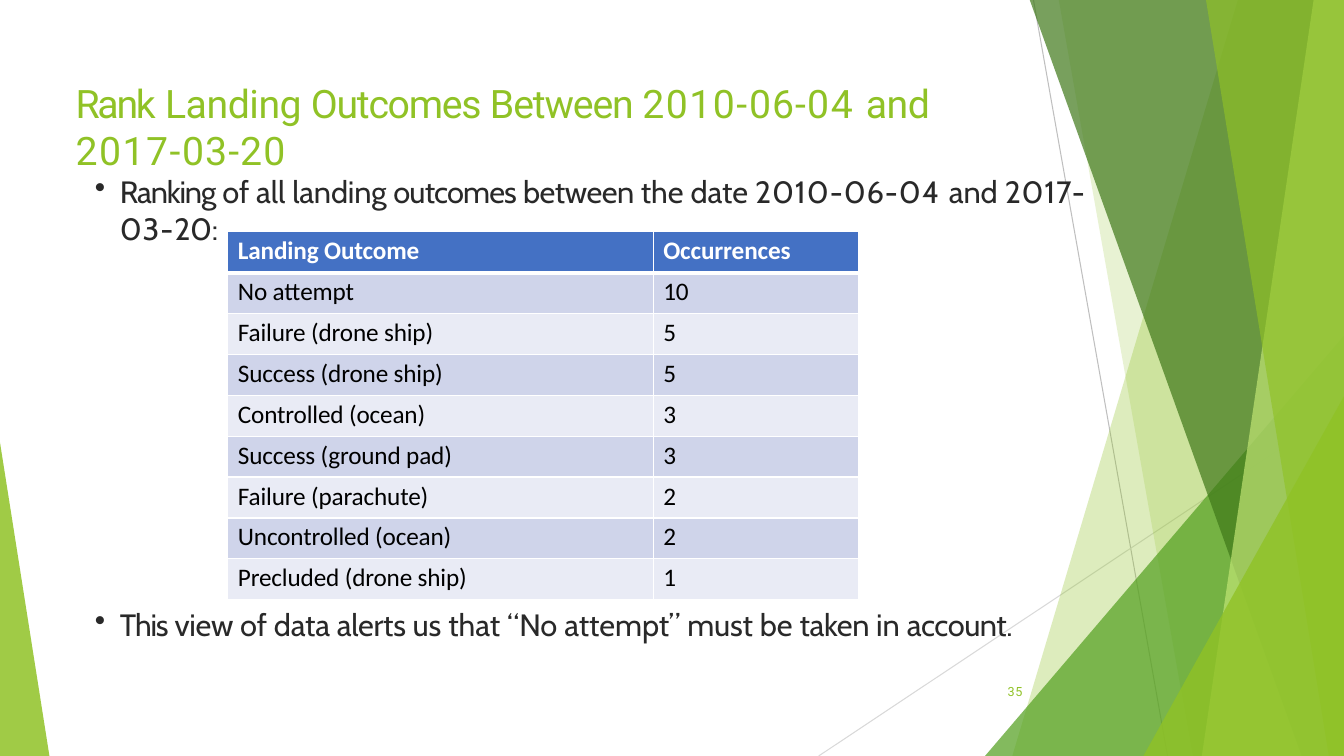
from lxml.etree import SubElement
from pptx import Presentation
from pptx.dml.color import RGBColor
from pptx.enum.shapes import MSO_CONNECTOR, MSO_SHAPE
from pptx.enum.text import MSO_ANCHOR, PP_ALIGN
from pptx.oxml.ns import qn
from pptx.util import Inches, Pt

COLORS = {
    "lime": "90C226", "green": "54A021", "forest": "3F7819", "pale_lime": "C0E474",
    "grey": "BFBFBF", "light_grey": "D9D9D9", "ink": "292929", "black": "000000",
    "white": "FFFFFF", "header": "4471C4", "band_dark": "CFD4EA", "band_light": "E9EBF5",
}
TITLE_FONT = {"size": Pt(28), "name": "Roboto", "color": "lime"}
BODY_FONT = {"size": Pt(22), "name": "Cabin", "color": "ink"}
NUMBER_FONT = {"size": Pt(9), "name": "Roboto", "color": "lime"}
CELL_FONT = {"size": Pt(18), "name": "Calibri", "color": "black", "bold": False}
HEADER_FONT = CELL_FONT | {"color": "white", "bold": True}

TITLE_RUNS = [("Rank", -1.6), (" Landing ", -0.3), ("Outcomes ", -0.9), ("Between ", -0.8),
              ("2010-", 1.1), ("06-", 0.8), ("04 ", 1.2), ("and ", -0.3),
              ("2017-", 1.1), ("03-20", 0.8)]
RANKING_RUNS = [("Ranking ", -0.8), ("of all ", 0), ("landing ", -0.1), ("outcomes ", -0.6),
                ("between ", -0.3), ("the date ", 0), ("2010-", 0.7), ("06-", 0.6),
                ("04 ", 0.9), ("and ", 0), ("2017-", 0.6)]
RANKING_END_RUNS = [("03-", 0.6), ("20:", -0.2)]
ALERT_RUNS = [("This ", -0.8), ("view ", -0.2), ("of ", 0), ("data ", -0.1), ("alerts ", -0.2),
              ("us that “No attempt” ", 0), ("must ", -0.1), ("be ", 0), ("taken ", -0.2),
              ("in ", 0), ("account.", -0.3)]
OUTCOMES = [
    ("Landing Outcome", "Occurrences"),
    ("No attempt", "10"),
    ("Failure (drone ship)", "5"),
    ("Success (drone ship)", "5"),
    ("Controlled (ocean)", "3"),
    ("Success (ground pad)", "3"),
    ("Failure (parachute)", "2"),
    ("Uncontrolled (ocean)", "2"),
    ("Precluded (drone ship)", "1"),
]


def rgb(name):
    """Return the named colour."""
    return RGBColor.from_string(COLORS[name])


def set_attributes(target, values):
    """Set every attribute in values on the target."""
    for name, value in values.items():
        setattr(target, name, value)


def paint(shape, color, opacity):
    """Give a shape a see-through fill and no outline."""
    shape.shadow.inherit = False
    shape.fill.solid()
    shape.fill.fore_color.rgb = rgb(color)
    shape.line.fill.background()
    color_element = shape.fill._xPr.find(qn("a:solidFill"))[0]
    SubElement(color_element, qn("a:alpha"), val=str(opacity * 1000))


def add_line(slide, start, end, color):
    """Draw a thin background line."""
    points = [Inches(value) for value in (*start, *end)]
    line = slide.shapes.add_connector(MSO_CONNECTOR.STRAIGHT, *points)
    line.line.color.rgb = rgb(color)
    line.line.width = Pt(0.75)
    SubElement(line._element.spPr, qn("a:effectLst"))


def add_band(slide, top_left, top_right, bottom_left, color, opacity):
    """Draw a slanted band that runs to the right edge of the slide."""
    corners = [(top_left, -0.01), (top_right, -0.01), (13.33, 7.5), (bottom_left, 7.5)]
    points = [(Inches(x), Inches(y)) for x, y in corners]
    builder = slide.shapes.build_freeform(*points[0])
    builder.add_line_segments(points[1:])
    paint(builder.convert_to_shape(), color, opacity)


def add_triangle(slide, box, apex, color, opacity):
    """Draw a triangle whose apex sits at a fraction of its width."""
    sides = [Inches(value) for value in box]
    triangle = slide.shapes.add_shape(MSO_SHAPE.ISOSCELES_TRIANGLE, *sides)
    triangle.adjustments[0] = apex
    paint(triangle, color, opacity)


def write_runs(paragraph, runs, style):
    """Add runs of text with their letter spacing in points."""
    for text, spacing in runs:
        run = paragraph.add_run()
        run.text = text
        run._r.get_or_add_rPr().set("spc", str(round(spacing * 100)))
        set_attributes(run.font, {key: style[key] for key in style if key != "color"})
        run.font.color.rgb = rgb(style["color"])


def indent(paragraph, left, first=0.0, bullet=None):
    """Indent a paragraph and give it a bullet if there is one."""
    properties = paragraph._p.get_or_add_pPr()
    properties.set("marL", str(Inches(left)))
    properties.set("indent", str(Inches(first)))
    if bullet:
        SubElement(properties, qn("a:buChar"), char=bullet)


def add_text(slide, box, top_inset, anchor=MSO_ANCHOR.TOP):
    """Add a wrapping text box and return its text frame."""
    frame = slide.shapes.add_textbox(*[Inches(value) for value in box]).text_frame
    set_attributes(frame, {
        "word_wrap": True, "vertical_anchor": anchor, "margin_left": 0, "margin_right": 0,
        "margin_top": Inches(top_inset), "margin_bottom": 0,
    })
    return frame


def add_bullet(slide, box, runs):
    """Add a text box with one bulleted paragraph and return its frame."""
    frame = add_text(slide, box, 0.02)
    indent(frame.paragraphs[0], 0.26, -0.25, "•")
    write_runs(frame.paragraphs[0], runs, BODY_FONT)
    return frame


def set_borders(cell, row_index):
    """Draw white cell borders, thick below the header row."""
    widths = {"lnL": 1, "lnR": 1, "lnT": 3 if row_index == 1 else 1,
              "lnB": 3 if row_index == 0 else 1}
    for tag, width in widths.items():
        line = SubElement(cell._tc.get_or_add_tcPr(), qn(f"a:{tag}"), w=str(Pt(width)))
        SubElement(SubElement(line, qn("a:solidFill")), qn("a:srgbClr"), val=COLORS["white"])


def fill_cell(cell, text, row_index):
    """Format one table cell and write its text."""
    set_attributes(cell, {"margin_left": 0, "margin_right": 0,
                          "margin_top": Inches(0.04), "margin_bottom": 0})
    set_borders(cell, row_index)
    band = "band_dark" if row_index % 2 else "band_light"
    cell.fill.solid()
    cell.fill.fore_color.rgb = rgb(band if row_index else "header")
    paragraph = cell.text_frame.paragraphs[0]
    indent(paragraph, 0.1)
    write_runs(paragraph, [(text, -0.1)], CELL_FONT if row_index else HEADER_FONT)


def add_outcome_table(slide):
    """Add the table of landing outcomes."""
    box = [Inches(value) for value in (2.26, 2.3, 6.26, 3.65)]
    table = slide.shapes.add_table(len(OUTCOMES), 2, *box).table
    for column, width in zip(table.columns, (4.22, 2.04)):
        column.width = Inches(width)
    for row_index, row in enumerate(OUTCOMES):
        for column_index, text in enumerate(row):
            fill_cell(table.cell(row_index, column_index), text, row_index)


def add_backdrop(slide):
    """Draw the green facets at the slide edges."""
    add_line(slide, (10.25, 0), (11.58, 7.5), "grey")
    add_line(slide, (13.33, 4.03), (8.12, 7.5), "light_grey")
    add_band(slide, 12.28, 13.33, 10.04, "lime", 30)
    add_band(slide, 10.5, 13.33, 11.83, "lime", 20)
    add_triangle(slide, (9.77, 3.33, 3.56, 4.17), 1, "green", 72)
    add_band(slide, 10.21, 13.33, 12.91, "forest", 70)
    add_band(slide, 13.03, 13.33, 11.92, "pale_lime", 70)
    add_band(slide, 11.96, 13.33, 13.18, "lime", 65)
    add_triangle(slide, (11.34, 3.93, 1.99, 3.57), 1, "lime", 80)
    add_triangle(slide, (0, 4.39, 0.49, 3.11), 0, "lime", 85)


def main():
    """Build and save the slide."""
    presentation = Presentation()
    set_attributes(presentation, {"slide_width": Inches(13.33), "slide_height": Inches(7.5)})
    slide = presentation.slides.add_slide(presentation.slide_layouts[6])
    add_backdrop(slide)

    ranking = add_bullet(slide, (0.93, 1.69, 10.09, 0.76), RANKING_RUNS)
    ranking_end = ranking.add_paragraph()
    indent(ranking_end, 0.26)
    write_runs(ranking_end, RANKING_END_RUNS, BODY_FONT)

    title = add_text(slide, (0.74, 0.67, 9.4, 1.44), 0.12).paragraphs[0]
    indent(title, 0.01)
    write_runs(title, TITLE_RUNS, TITLE_FONT)

    number = add_text(slide, (9.39, 6.61, 0.75, 0.4), 0, MSO_ANCHOR.MIDDLE).paragraphs[0]
    set_attributes(number, {"alignment": PP_ALIGN.RIGHT, "line_spacing": Pt(18.4)})
    write_runs(number, [("35", 0.5)], NUMBER_FONT)

    add_bullet(slide, (0.93, 5.99, 9.51, 0.39), ALERT_RUNS)
    add_outcome_table(slide)
    presentation.save("out.pptx")


if __name__ == "__main__":
    main()
